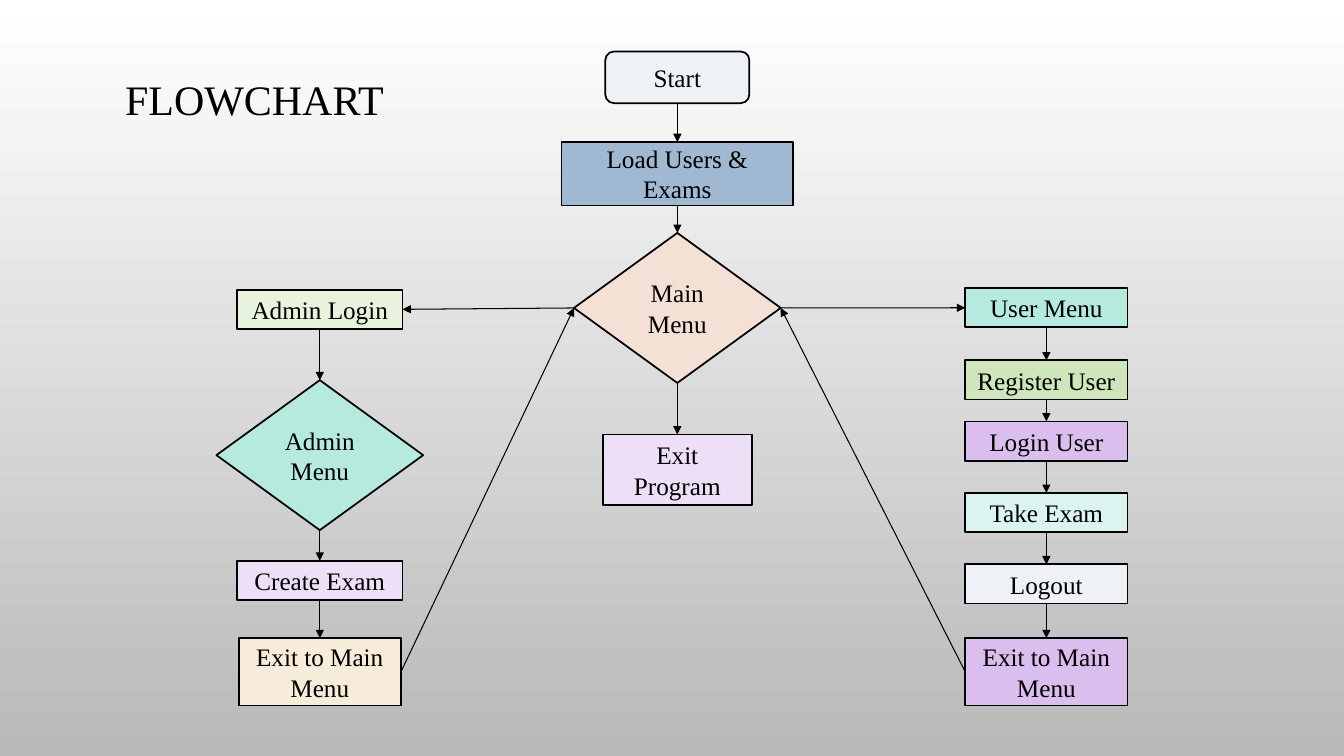
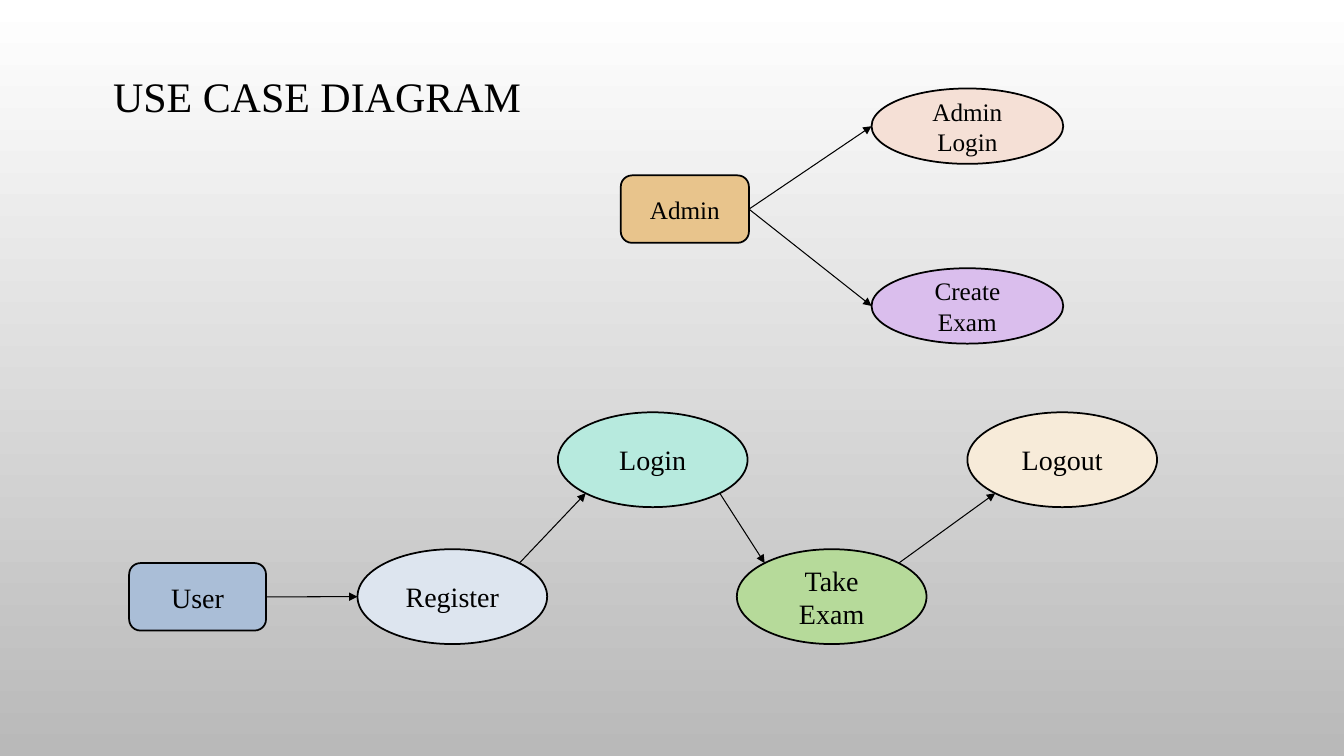
from itertools import pairwise
from math import sqrt

from lxml.etree import SubElement
from pptx import Presentation
from pptx.dml.color import RGBColor
from pptx.enum.shapes import MSO_CONNECTOR, MSO_SHAPE
from pptx.enum.text import MSO_ANCHOR, PP_ALIGN
from pptx.oxml.ns import qn
from pptx.util import Cm, Pt

FONT = "Times New Roman"
BLACK = RGBColor.from_string("000000")
TOP, LEFT, BOTTOM, RIGHT = range(4)
RECT, ROUND = MSO_SHAPE.RECTANGLE, MSO_SHAPE.ROUNDED_RECTANGLE
DIAMOND, OVAL = MSO_SHAPE.DIAMOND, MSO_SHAPE.OVAL


def add_node(s, kind, text, center, top, width, height, fill, size=18):
    """Add an outlined, labelled shape centred on a column; lengths in cm."""
    sp = s.shapes.add_shape(kind, Cm(center - width / 2), Cm(top), Cm(width), Cm(height))
    sp.shadow.inherit = False
    sp.fill.solid()
    sp.fill.fore_color.rgb = RGBColor.from_string(fill)
    sp.line.color.rgb = BLACK
    sp.line.width = Pt(1.25)
    sp.text_frame.text = text
    p = sp.text_frame.paragraphs[0]
    p.alignment = PP_ALIGN.CENTER
    font = p.runs[0].font
    font.name, font.size, font.color.rgb = FONT, Pt(size), BLACK
    return sp


def add_arrow(s, start=(0, 0), end=(0, 0)):
    """Add an arrow between two points; ends left out are joined by the caller."""
    c = s.shapes.add_connector(MSO_CONNECTOR.STRAIGHT, *start, *end)
    c.line.color.rgb = BLACK
    c.line.width = Pt(0.75)
    sp_pr = c._element.spPr
    SubElement(sp_pr.find(qn("a:ln")), qn("a:tailEnd"), type="triangle")
    SubElement(sp_pr, qn("a:effectLst"))
    return c


prs = Presentation()
prs.slide_width, prs.slide_height = Cm(33.87), Cm(19.05)

# Background shared through the master
bg = prs.slide_master.background.fill
bg.gradient()
bg.gradient_angle = 270
for stop, color in zip(bg.gradient_stops, ("FFFFFF", "B9B9B9")):
    stop.color.rgb = RGBColor.from_string(color)

# Slides and titles
slides = []
for title, left, top, width in (
    ("FLOWCHART", 2.44, 1.7, 7.95),
    ("USE CASE DIAGRAM", 2.51, 1.63, 10.97),
):
    s = prs.slides.add_slide(prs.slide_layouts[6])
    tf = s.shapes.add_textbox(Cm(left), Cm(top), Cm(width), Cm(1.72)).text_frame
    tf.word_wrap = True
    tf.vertical_anchor = MSO_ANCHOR.MIDDLE
    tf.text = title
    p = tf.paragraphs[0]
    p.alignment = PP_ALIGN.CENTER
    p.line_spacing = 0.9
    font = p.runs[0].font
    font.name, font.size, font.color.rgb = FONT, Pt(30), BLACK
    slides.append(s)
flowchart, use_cases = slides

# Flowchart: one list per column, from top to bottom
columns = (
    (17.07, (
        (ROUND, "Start", 1.3, 3.63, 1.3, "EEF2F7"),
        (RECT, "Load Users & Exams", 3.58, 5.84, 1.6, "A1B8D3"),
        (DIAMOND, "Main Menu", 5.87, 5.21, 3.78, "F5E0D6"),
        (RECT, "Exit Program", 10.95, 3.76, 1.78, "EDDFF6"),
    )),
    (8.06, (
        (RECT, "Admin Login", 7.3, 4.17, 0.99, "E7F3DD"),
        (DIAMOND, "Admin Menu", 9.58, 5.21, 3.78, "B7EADE"),
        (RECT, "Create Exam", 14.13, 4.17, 0.99, "EDDFF6"),
        (RECT, "Exit to Main Menu", 16.08, 4.09, 1.7, "F7EBD9"),
    )),
    (26.37, (
        (RECT, "User Menu", 7.26, 4.09, 0.99, "B7EADE"),
        (RECT, "Register User", 9.08, 4.09, 0.99, "CFE6BC"),
        (RECT, "Login User", 10.62, 4.09, 0.99, "DABEED"),
        (RECT, "Take Exam", 12.42, 4.09, 0.99, "DBF4EF"),
        (RECT, "Logout", 14.22, 4.09, 0.99, "EEF2F7"),
        (RECT, "Exit to Main Menu", 16.08, 4.09, 1.7, "DABEED"),
    )),
)
main, admin, user = [
    [add_node(flowchart, kind, text, center, *box) for kind, text, *box in steps]
    for center, steps in columns
]
links = [(a, BOTTOM, b, TOP) for column in (main, admin, user) for a, b in pairwise(column)]
main_menu = main[2]
for column, menu_side, column_side in ((admin, LEFT, RIGHT), (user, RIGHT, LEFT)):
    links.append((main_menu, menu_side, column[0], column_side))
    links.append((column[-1], column_side, main_menu, menu_side))
for a, a_side, b, b_side in links:
    c = add_arrow(flowchart)
    c.begin_connect(a, a_side)
    c.end_connect(b, b_side)

# Use cases of the user: a zigzag of ellipses
actor = add_node(use_cases, ROUND, "User", 4.98, 14.19, 3.45, 1.7, "AABED7", 20)
cases = [
    add_node(use_cases, OVAL, text, center, top, 4.78, 2.39, fill, 20)
    for text, center, top, fill in (
        ("Register", 11.4, 13.84, "DDE5EF"),
        ("Login", 16.45, 10.39, "B7EADE"),
        ("Take Exam", 20.96, 13.84, "B6DA9A"),
        ("Logout", 26.77, 10.39, "F7EBD9"),
    )
]
first = cases[0]
c = add_arrow(use_cases, end=(first.left, first.top + first.height // 2))
c.begin_connect(actor, RIGHT)
for a, b in pairwise(cases):
    # Arrows meet the ellipses on their diagonals
    dx, dy = a.width / sqrt(8), a.height / sqrt(8)
    if b.top < a.top:
        dy = -dy
    start = (a.left + a.width / 2 + dx, a.top + a.height / 2 + dy)
    end = (b.left + b.width / 2 - dx, b.top + b.height / 2 - dy)
    add_arrow(use_cases, map(int, start), map(int, end))

# Use cases of the admin
actor = add_node(use_cases, ROUND, "Admin", 17.26, 4.42, 3.23, 1.7, "E8C48C")
for text, top, fill in (("Admin Login", 2.23, "F5E0D6"), ("Create Exam", 6.76, "DABEED")):
    case = add_node(use_cases, OVAL, text, 24.38, top, 4.83, 1.9, fill)
    c = add_arrow(use_cases, end=(case.left, case.top + case.height // 2))
    c.begin_connect(actor, RIGHT)

prs.save("out.pptx")
